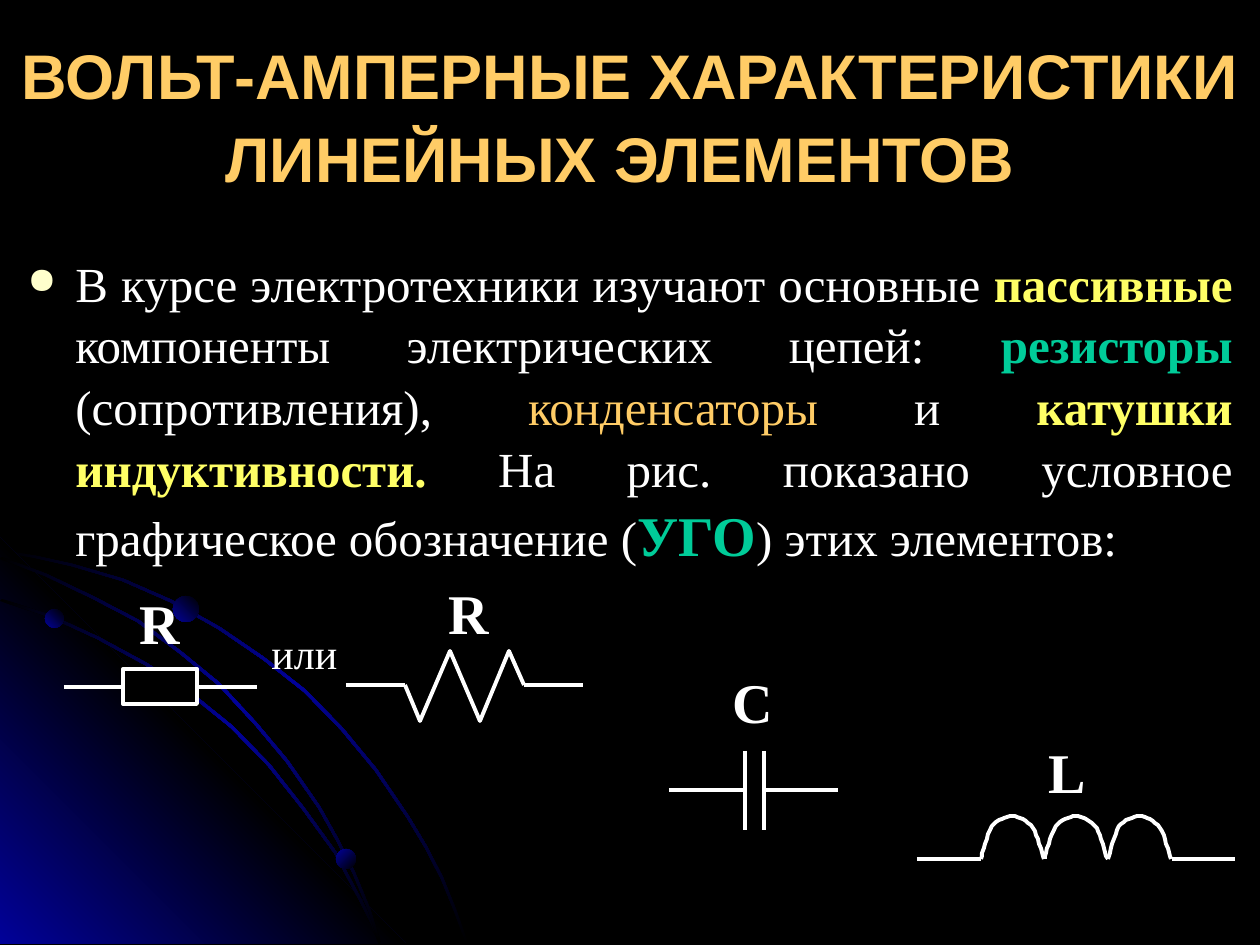
from dataclasses import dataclass

from lxml.etree import SubElement
from pptx import Presentation
from pptx.dml.color import RGBColor
from pptx.enum.shapes import MSO_CONNECTOR, MSO_SHAPE
from pptx.enum.text import MSO_ANCHOR, PP_ALIGN
from pptx.oxml import parse_xml
from pptx.oxml.ns import nsdecls, qn
from pptx.util import Emu, Pt

SCALE = 914400 / 126


@dataclass(frozen=True)
class Theme:
    black: str = "000000"
    blue: str = "010199"
    white: str = "FFFFFF"
    gold: str = "FFCC66"
    yellow: str = "FFFF66"
    green: str = "00CC99"
    bullet: str = "FFFFCC"
    heading: str = "Arial"
    serif: str = "Times New Roman"
    title_size: int = 36
    gap_size: int = 40
    body_size: int = 28
    label_size: int = 32
    word_size: int = 24
    stroke: float = 2.25


THEME = Theme()

# Runs: text, colour, bold, size
TITLE = [
    ("ВОЛЬТ-АМПЕРНЫЕ ХАРАКТЕРИСТИКИ ЛИНЕЙНЫХ ЭЛЕМЕНТОВ", THEME.gold, True, THEME.title_size),
    (" ", THEME.gold, False, THEME.gap_size),
]
BODY = [
    ("В курсе электротехники изучают основные ", THEME.white, False, THEME.body_size),
    ("пассивные", THEME.yellow, True, THEME.body_size),
    (" компоненты электрических цепей: ", THEME.white, False, THEME.body_size),
    ("резисторы", THEME.green, True, THEME.body_size),
    (" (сопротивления), ", THEME.white, False, THEME.body_size),
    ("конденсаторы", THEME.gold, False, THEME.body_size),
    (" и ", THEME.white, False, THEME.body_size),
    ("катушки индуктивности.", THEME.yellow, True, THEME.body_size),
    (" На рис. показано условное графическое обозначение (", THEME.white, False, THEME.body_size),
    ("УГО", THEME.green, True, THEME.label_size),
    (") этих элементов:", THEME.white, False, THEME.body_size),
]

# Labels: text, box, bold, size
LABELS = [
    ("R", (123, 582, 74, 69), True, THEME.label_size),
    ("R", (432, 572, 74, 69), True, THEME.label_size),
    ("C", (706, 661, 93, 79), True, THEME.label_size),
    ("L", (1028, 731, 79, 86), True, THEME.label_size),
    ("или", (253, 621, 103, 69), False, THEME.word_size),
]

# Wires: from x, from y, to x, to y
WIRES = [
    (64, 687, 123, 687), (197, 687, 257, 687),
    (346, 685, 405, 685), (524, 685, 583, 685),
    (745, 751, 745, 830), (764, 751, 764, 830),
    (669, 790, 745, 790), (764, 790, 838, 790),
    (917, 859, 981, 859), (1172, 859, 1235, 859),
]
RESISTOR = (123, 669, 74, 35)
ZIGZAG = [(405, 685), (420, 721), (450, 651), (480, 721), (509, 651), (524, 685)]
COIL_LEFT, COIL_TOP, LOOP_WIDTH, LOOP_COUNT = 981, 816, 63.6, 3
LOOP = [
    [(0, 43), (1, 38), (6, 18), (11, 10)],
    [(11, 10), (16, 4), (25, 0), (31, 0)],
    [(31, 0), (38, 0), (46, 4), (52, 12)],
    [(52, 12), (57, 19), (60, 36), (63, 43)],
]

CORNER = [(406, 944), (0, 944), (0, 538)]
RIBBON_SHIFT = 2
OUTER_ORBIT = [
    (0, 552), (35, 558), (71, 566), (122, 581), (170, 602), (218, 629), (262, 659), (304, 692),
    (341, 730), (375, 771), (407, 818), (425, 848), (441, 879), (454, 911), (466, 944),
]
INNER_ORBITS = [
    [(0, 601), (49, 617), (97, 639), (145, 665), (189, 694), (231, 728), (268, 766),
     (302, 809), (334, 853), (359, 900), (370, 922), (379, 944)],
    [(0, 559), (45, 576), (93, 599), (137, 622), (179, 653), (218, 685), (255, 725),
     (286, 762), (318, 808), (336, 840), (353, 874), (368, 910), (379, 944)],
]
# Planets: left, top, diameter, gradient angle
PLANETS = [(45, 609, 19, 135), (336, 849, 20, 225), (173, 596, 26, 135)]


def px(*lengths):
    return [Emu(round(length * SCALE)) for length in lengths]


def colour(value):
    return RGBColor.from_string(value)


def set_gradient(shape, colours, angle):
    """Fill the shape with evenly spaced colours, without an outline."""
    shape.shadow.inherit = False
    shape.line.fill.background()
    shape.fill.solid()
    step = 100000 // (len(colours) - 1)
    stops = "".join(
        f'<a:gs pos="{index * step}"><a:srgbClr val="{value}"/></a:gs>'
        for index, value in enumerate(colours)
    )
    gradient = parse_xml(
        f'<a:gradFill {nsdecls("a")} rotWithShape="1"><a:gsLst>{stops}</a:gsLst>'
        f'<a:lin ang="{angle * 60000}" scaled="0"/></a:gradFill>'
    )
    properties = shape.element.spPr
    properties.replace(properties.find(qn("a:solidFill")), gradient)


def set_stroke(shape):
    shape.line.color.rgb = colour(THEME.white)
    shape.line.width = Pt(THEME.stroke)


def add_outline(slide, points, close):
    builder = slide.shapes.build_freeform(*points[0], scale=SCALE)
    builder.add_line_segments(points[1:], close=close)
    return builder.convert_to_shape()


def add_curve(slide, points):
    shape = add_outline(slide, points, close=False)
    shape.shadow.inherit = False
    shape.fill.background()
    set_stroke(shape)


def add_orbit(slide, edge):
    other_edge = [(x + RIBBON_SHIFT, y - RIBBON_SHIFT) for x, y in reversed(edge)]
    shape = add_outline(slide, edge + other_edge, close=True)
    set_gradient(shape, [THEME.black, THEME.blue, THEME.black], 225)


def add_wire(slide, ends):
    wire = slide.shapes.add_connector(MSO_CONNECTOR.STRAIGHT, *px(*ends))
    set_stroke(wire)
    SubElement(wire.element.spPr, qn("a:effectLst"))


def add_text(slide, box, runs, font_name, align=PP_ALIGN.CENTER, anchor=MSO_ANCHOR.TOP):
    frame = slide.shapes.add_textbox(*px(*box)).text_frame
    frame.word_wrap = True
    frame.vertical_anchor = anchor
    paragraph = frame.paragraphs[0]
    paragraph.alignment = align
    for text, run_colour, bold, size in runs:
        run = paragraph.add_run()
        run.text = text
        run.font.name = font_name
        run.font.color.rgb = colour(run_colour)
        run.font.bold = bold
        run.font.size = Pt(size)
    return paragraph


def add_bullet(paragraph):
    properties = paragraph._p.get_or_add_pPr()
    indent = px(48)[0]
    properties.set("marL", str(indent))
    properties.set("indent", str(-indent))
    bullet_colour = SubElement(properties, qn("a:buClr"))
    SubElement(bullet_colour, qn("a:srgbClr"), val=THEME.bullet)
    SubElement(properties, qn("a:buSzPct"), val="75000")
    SubElement(properties, qn("a:buChar"), char="●")


def bezier_points(curve, steps=8):
    for step in range(steps + 1):
        t = step / steps
        weights = ((1 - t) ** 3, 3 * t * (1 - t) ** 2, 3 * t * t * (1 - t), t ** 3)
        yield tuple(sum(w * point[axis] for w, point in zip(weights, curve)) for axis in (0, 1))


def add_background(slide):
    slide.background.fill.solid()
    slide.background.fill.fore_color.rgb = colour(THEME.black)
    add_orbit(slide, OUTER_ORBIT)
    corner = add_outline(slide, CORNER, close=True)
    set_gradient(corner, [THEME.blue, THEME.black, THEME.blue], 135)
    for orbit in INNER_ORBITS:
        add_orbit(slide, orbit)
    for left, top, size, angle in PLANETS:
        planet = slide.shapes.add_shape(MSO_SHAPE.OVAL, *px(left, top, size, size))
        set_gradient(planet, [THEME.black, THEME.blue], angle)


def add_symbols(slide):
    resistor = slide.shapes.add_shape(MSO_SHAPE.RECTANGLE, *px(*RESISTOR))
    resistor.shadow.inherit = False
    resistor.fill.solid()
    resistor.fill.fore_color.rgb = colour(THEME.black)
    set_stroke(resistor)
    add_curve(slide, ZIGZAG)
    loop = [point for curve in LOOP for point in bezier_points(curve)]
    for index in range(LOOP_COUNT):
        left = COIL_LEFT + index * LOOP_WIDTH
        add_curve(slide, [(left + x, COIL_TOP + y) for x, y in loop])
    for ends in WIRES:
        add_wire(slide, ends)
    for text, box, bold, size in LABELS:
        add_text(slide, box, [(text, THEME.white, bold, size)], THEME.serif)


def main():
    presentation = Presentation()
    presentation.slide_width, presentation.slide_height = px(1260, 945)
    slide = presentation.slides.add_slide(presentation.slide_layouts[6])
    add_background(slide)
    add_text(slide, (0, 38, 1260, 157), TITLE, THEME.heading, anchor=MSO_ANCHOR.MIDDLE)
    body = add_text(slide, (15, 244, 1230, 318), BODY, THEME.serif, PP_ALIGN.JUSTIFY)
    body.line_spacing = 1.05
    add_bullet(body)
    add_symbols(slide)
    presentation.save("out.pptx")


if __name__ == "__main__":
    main()
